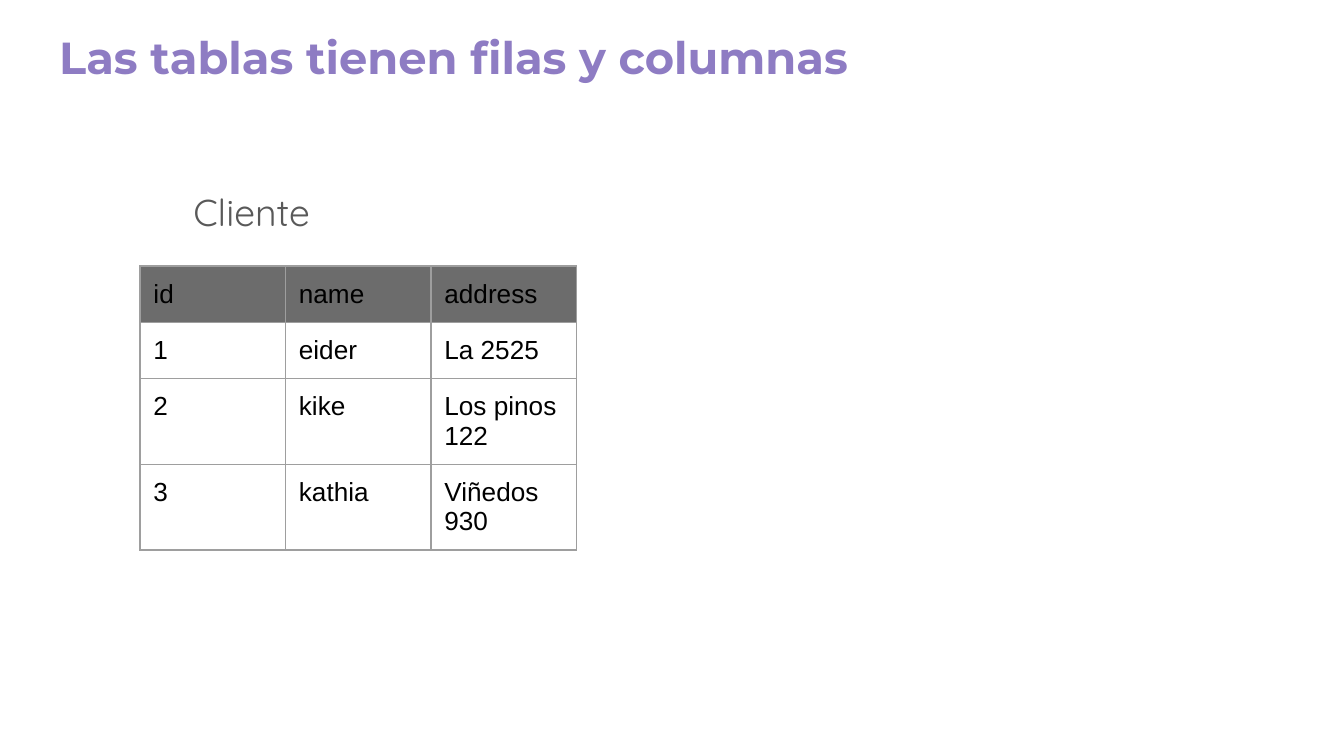
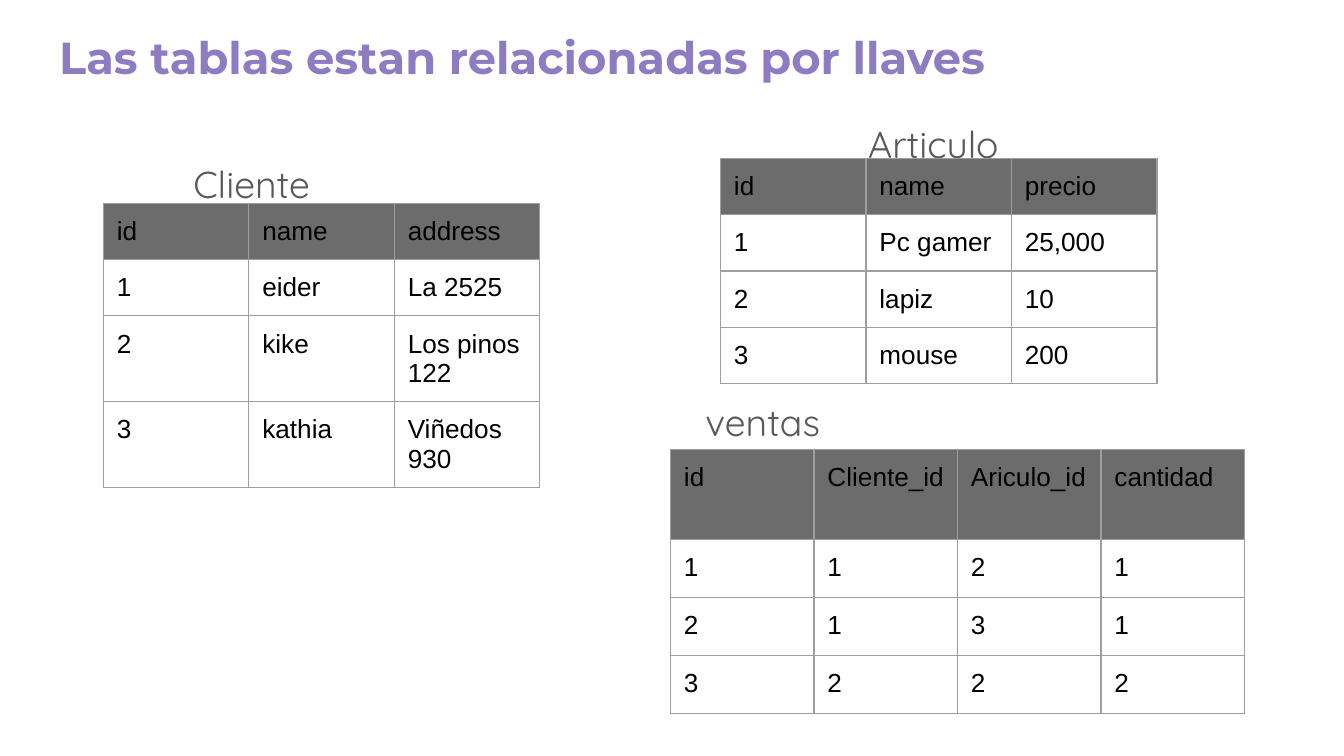
from lxml.etree import SubElement
from pptx import Presentation
from pptx.dml.color import RGBColor
from pptx.enum.text import MSO_ANCHOR, MSO_AUTO_SIZE, PP_ALIGN
from pptx.oxml.ns import qn
from pptx.util import Pt

PURPLE = RGBColor(0x8E, 0x7C, 0xC3)
GREY = RGBColor(0x59, 0x59, 0x59)
DARK = RGBColor(0x6C, 0x6C, 0x6C)
LINE = RGBColor(0x9E, 0x9E, 0x9E)
BLACK = RGBColor(0, 0, 0)
INSET = Pt(7.2)
LABEL_W, LABEL_H = 314.6, 31

CLIENTS = [
    ["id", "name", "address"],
    ["1", "eider", "La 2525"],
    ["2", "kike", "Los pinos 122"],
    ["3", "kathia", "Viñedos 930"],
]
ITEMS = [
    ["id", "name", "precio"],
    ["1", "Pc gamer", "25,000"],
    ["2", "lapiz", "10"],
    ["3", "mouse", "200"],
]
SALES = [
    ["id", "Cliente_id", "Ariculo_id", "cantidad"],
    ["1", "1", "2", "1"],
    ["2", "1", "3", "1"],
    ["3", "2", "2", "2"],
]


def style(par, font, size, color, bold=False):
    """Format every run of a paragraph."""
    for run in par.runs:
        run.font.name = font
        run.font.size = Pt(size)
        run.font.color.rgb = color
        run.font.bold = bold


def pad(item):
    """Give a text frame or cell equal insets and top alignment."""
    item.margin_left = item.margin_right = INSET
    item.margin_top = item.margin_bottom = INSET
    item.vertical_anchor = MSO_ANCHOR.TOP


def fill_text(shape, text):
    """Put text in a shape and return its only paragraph."""
    frame = shape.text_frame
    frame.text = text
    frame.word_wrap = True
    frame.auto_size = MSO_AUTO_SIZE.NONE
    pad(frame)
    par = frame.paragraphs[0]
    par.alignment = PP_ALIGN.LEFT
    return par


def add_slide(deck, text):
    """Add a slide with the shared title style."""
    slide = deck.slides.add_slide(deck.slide_layouts[5])
    title = slide.shapes.title
    title.left, title.top = Pt(24.5), Pt(8.6)
    title.width, title.height = Pt(671), Pt(45.4)
    style(fill_text(title, text), "Montserrat", 24, PURPLE, True)
    return slide


def add_label(slide, text, left, top, height=LABEL_H):
    """Add an indented table name."""
    box = slide.shapes.add_textbox(Pt(left), Pt(top), Pt(LABEL_W), Pt(height))
    par = fill_text(box, text)
    props = par._p.get_or_add_pPr()
    props.set("marL", str(Pt(72)))
    props.set("indent", "0")
    par.line_spacing = 1.15
    style(par, "Quicksand", 20, GREY)


def add_edges(cell):
    """Draw thin lines on the four sides of a cell."""
    props = cell._tc.get_or_add_tcPr()
    for side in "LRTB":
        edge = SubElement(props, qn(f"a:ln{side}"), w=str(Pt(0.75)))
        paint = SubElement(edge, qn("a:solidFill"))
        SubElement(paint, qn("a:srgbClr"), val=str(LINE))


def add_grid(slide, data, left, top, col=77.95, head=30, row=30):
    """Add a table with a dark header row."""
    count = len(data[0])
    high = head + row * (len(data) - 1)
    table = slide.shapes.add_table(
        len(data), count, Pt(left), Pt(top), Pt(col * count), Pt(high)
    ).table
    table.first_row = table.horz_banding = False
    for column in table.columns:
        column.width = Pt(col)
    for r, values in enumerate(data):
        table.rows[r].height = Pt(row if r else head)
        for c, value in enumerate(values):
            cell = table.cell(r, c)
            cell.text = value
            pad(cell)
            style(cell.text_frame.paragraphs[0], "Arial", 14, BLACK)
            add_edges(cell)
            if r:
                cell.fill.background()
            else:
                cell.fill.solid()
                cell.fill.fore_color.rgb = DARK


def show_table(deck):
    """Build the slide on rows and columns."""
    slide = add_slide(deck, "Las tablas tienen filas y columnas")
    add_label(slide, "Cliente", 24.5, 90.7, 269.3)
    add_grid(slide, CLIENTS, 75, 142.5)


def show_keys(deck):
    """Build the slide on tables related by keys."""
    slide = add_slide(deck, "Las tablas estan relacionadas por llaves")
    add_label(slide, "Cliente", 24.5, 75.6)
    add_label(slide, "Articulo", 386, 54)
    add_grid(slide, CLIENTS, 55.4, 108.9)
    add_grid(slide, ITEMS, 386, 84.8)
    add_grid(slide, SALES, 359.2, 240.7, 76.9, 48.2, 31.1)
    add_label(slide, "ventas", 298.8, 203)


def main():
    """Build and save the deck."""
    deck = Presentation()
    deck.slide_width, deck.slide_height = Pt(720), Pt(405)
    show_table(deck)
    show_keys(deck)
    deck.save("out.pptx")


if __name__ == "__main__":
    main()
